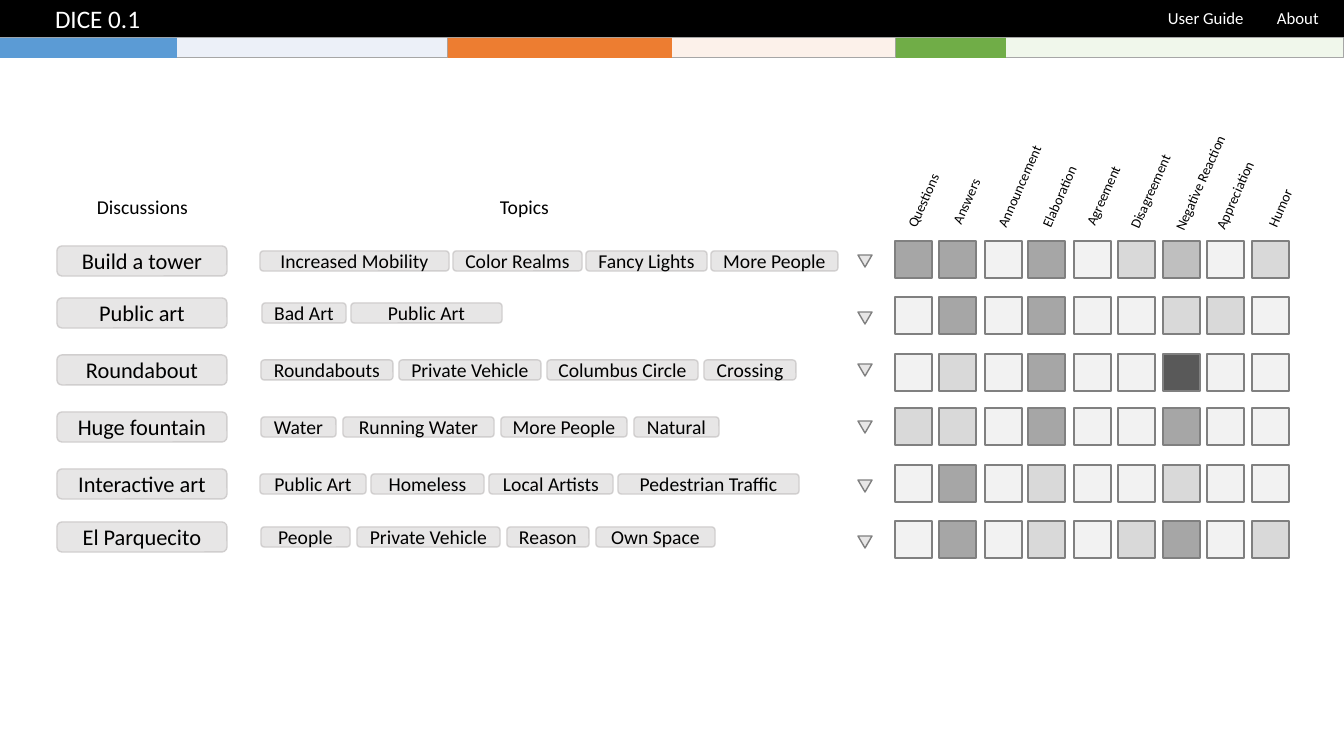
from dataclasses import dataclass

from lxml import etree
from pptx import Presentation
from pptx.dml.color import RGBColor
from pptx.enum import shapes, text
from pptx.oxml.ns import qn
from pptx.shapes.autoshape import Shape
from pptx.util import Emu, Pt

SCALE = 914400 / 100.8
WIDE, HIGH = 1344, 756
FONT = "Calibri"
KIND = shapes.MSO_SHAPE
ALIGN = text.PP_ALIGN

HUES = {
    "black": "000000", "white": "FFFFFF", "pill": "E7E6E6", "rim": "D0CECE",
    "edge": "808080", "frame": "A6A6A6",
    "blue": "5B9BD5", "sky": "DAE3F3", "orange": "ED7D31", "peach": "FBE5D6",
    "green": "70AD47", "mint": "E2F0D9",
    # Heat levels, from few posts to many
    "0": "F2F2F2", "1": "D9D9D9", "2": "BFBFBF", "3": "A6A6A6", "4": "595959",
}


@dataclass
class Box:
    x: int
    y: int
    w: int
    h: int


@dataclass
class Row:
    """One discussion: tops of its pieces, its topics and its heat levels."""
    name: str
    top: int
    mark: int
    grid: int
    heat: str
    left: int
    gap: int
    topics: list[tuple[str, int]]


@dataclass
class Label:
    words: str
    box: Box
    size: int
    hue: str = "black"
    turn: int = 0


@dataclass
class Trait:
    """One heat column: the left of its cells and its slanted heading."""
    col: int
    name: str
    x: int
    y: int
    w: int


@dataclass
class Band:
    left: int
    width: int
    done: int
    pale: str
    full: str


ROWS = [
    Row("Build a tower", 246, 255, 241, "330301201", 260, 4,
        [("Increased Mobility", 189), ("Color Realms", 129),
         ("Fancy Lights", 121), ("More People", 127)]),
    Row("Public art", 298, 312, 297, "030300110", 262, 5,
        [("Bad Art", 84), ("Public Art", 151)]),
    Row("Roundabout", 355, 364, 354, "010300400", 261, 6,
        [("Roundabouts", 132), ("Private Vehicle", 142),
         ("Columbus Circle", 151), ("Crossing", 92)]),
    Row("Huge fountain", 412, 421, 408, "110300300", 261, 7,
        [("Water", 75), ("Running Water", 151),
         ("More People", 126), ("Natural", 85)]),
    Row("Interactive art", 469, 480, 465, "030100100", 260, 5,
        [("Public Art", 106), ("Homeless", 113),
         ("Local Artists", 124), ("Pedestrian Traffic", 181)]),
    Row("El Parquecito", 522, 536, 521, "030101301", 261, 7,
        [("People", 89), ("Private Vehicle", 143),
         ("Reason", 82), ("Own Space", 119)]),
]
TRAITS = [
    Trait(895, "Questions", 884, 186, 79),
    Trait(939, "Answers", 932, 187, 69),
    Trait(985, "Announcement", 965, 172, 109),
    Trait(1028, "Elaboration", 1016, 182, 87),
    Trait(1074, "Agreement", 1061, 181, 85),
    Trait(1118, "Disagreement", 1100, 177, 101),
    Trait(1163, "Negative Reaction", 1138, 168, 125),
    Trait(1207, "Appreciation", 1188, 181, 94),
    Trait(1252, "Humor", 1250, 194, 60),
]
BANDS = [
    Band(0, 448, 177, "sky", "blue"),
    Band(448, 448, 224, "peach", "orange"),
    Band(896, 448, 110, "mint", "green"),
]
LABELS = [
    Label("Discussions", Box(87, 190, 113, 34), 14),
    Label("Topics", Box(490, 190, 70, 34), 14),
    Label("About", Box(1267, 3, 62, 30), 12, "white"),
    Label("User Guide", Box(1158, 3, 97, 30), 12, "white"),
] + [Label(t.name, Box(t.x, t.y, t.w, 27), 10, turn=294) for t in TRAITS]


def px(n: float) -> Emu:
    return Emu(round(n * SCALE))


def place(box: Box) -> list[Emu]:
    return [px(n) for n in (box.x, box.y, box.w, box.h)]


def rgb(hue: str) -> RGBColor:
    return RGBColor.from_string(HUES[hue])


def write(shape: Shape, words: str, size: int, hue: str = "black",
          align: ALIGN = ALIGN.CENTER) -> None:
    para = shape.text_frame.paragraphs[0]
    para.alignment = align
    run = para.add_run()
    run.text = words
    run.font.color.rgb = rgb(hue)
    for key, val in {"name": FONT, "size": Pt(size)}.items():
        setattr(run.font, key, val)


def draw(kind: KIND, box: Box, fill: str, line: str = "",
         weight: float = 1) -> Shape:
    shape = page.shapes.add_shape(kind, *place(box))
    shape.shadow.inherit = False
    shape.fill.solid()
    shape.fill.fore_color.rgb = rgb(fill)
    if line:
        shape.line.color.rgb = rgb(line)
        shape.line.width = Pt(weight)
    else:
        shape.line.fill.background()
    return shape


def pill(box: Box, words: str, size: int) -> None:
    write(draw(KIND.ROUNDED_RECTANGLE, box, "pill", "rim"), words, size)


def note(item: Label) -> None:
    shape = page.shapes.add_textbox(*place(item.box))
    shape.rotation = item.turn
    form = {"word_wrap": False,
            "auto_size": text.MSO_AUTO_SIZE.SHAPE_TO_FIT_TEXT}
    for key, val in form.items():
        setattr(shape.text_frame, key, val)
    write(shape, item.words, item.size, item.hue, ALIGN.LEFT)


deck = Presentation()
deck.slide_width, deck.slide_height = px(WIDE), px(HIGH)
page = deck.slides.add_slide(deck.slide_layouts[6])

# Discussions, topics, markers and heat cells
for row in ROWS:
    pill(Box(57, row.top, 170, 30), row.name, 16)
    x = row.left
    for topic, wide in row.topics:
        pill(Box(x, row.top + 5, wide, 20), topic, 14)
        x += wide + row.gap
    mark = draw(KIND.ISOSCELES_TRIANGLE, Box(858, row.mark, 14, 12),
                "pill", "edge")
    mark.rotation = 180
    for trait, level in zip(TRAITS, row.heat):
        draw(KIND.RECTANGLE, Box(trait.col, row.grid, 37, 37), level, "edge")

# Title bar
bar = draw(KIND.RECTANGLE, Box(0, 0, WIDE, 37), "black", "black")
bar.text_frame.margin_left = px(55)
write(bar, "DICE 0.1", 18, "white", ALIGN.LEFT)

# Progress bands: a half-clear track, then its filled stretch
for band in BANDS:
    track = draw(KIND.RECTANGLE, Box(band.left, 38, band.width, 20),
                 band.pale, "frame", 0.75)
    tint = track._element.spPr.find(qn("a:solidFill"))[0]
    etree.SubElement(tint, qn("a:alpha"), val="50000")
    draw(KIND.RECTANGLE, Box(band.left, 38, band.done, 20), band.full)

# Headings and menu
for item in LABELS:
    note(item)

deck.save("out.pptx")
